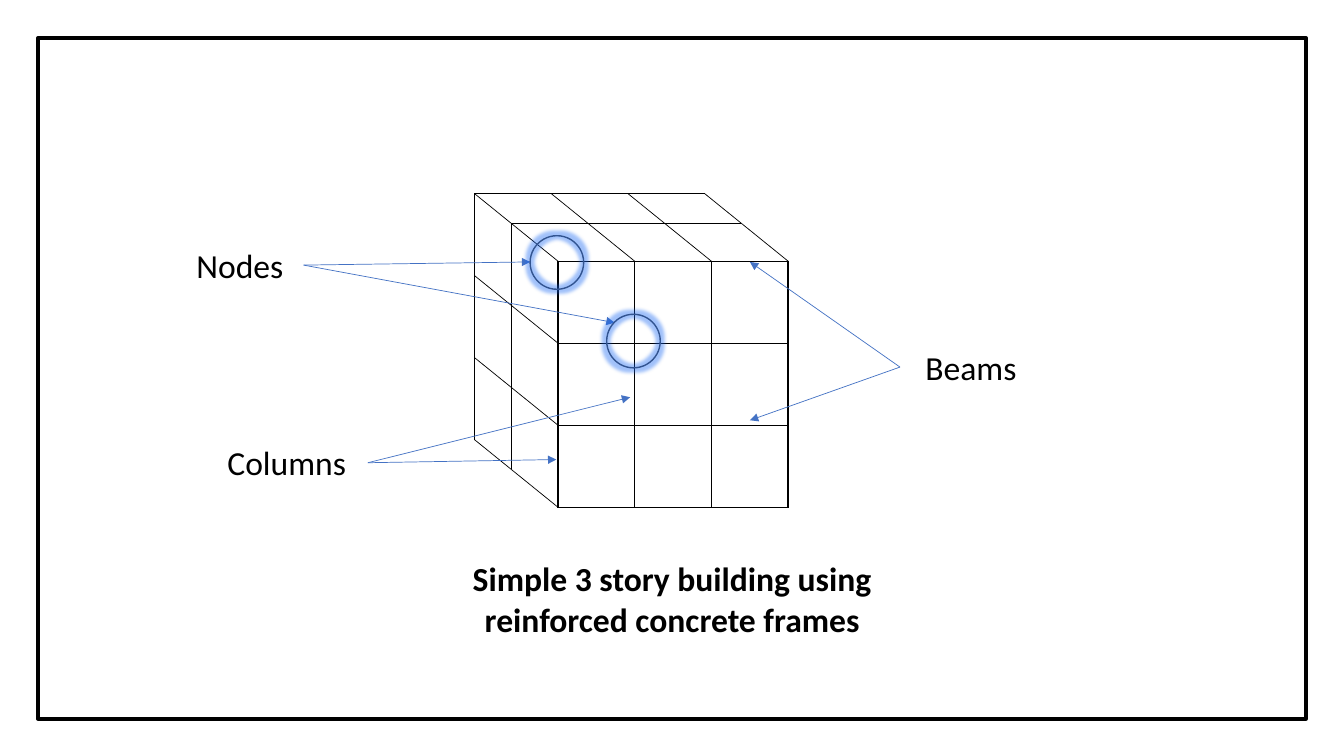
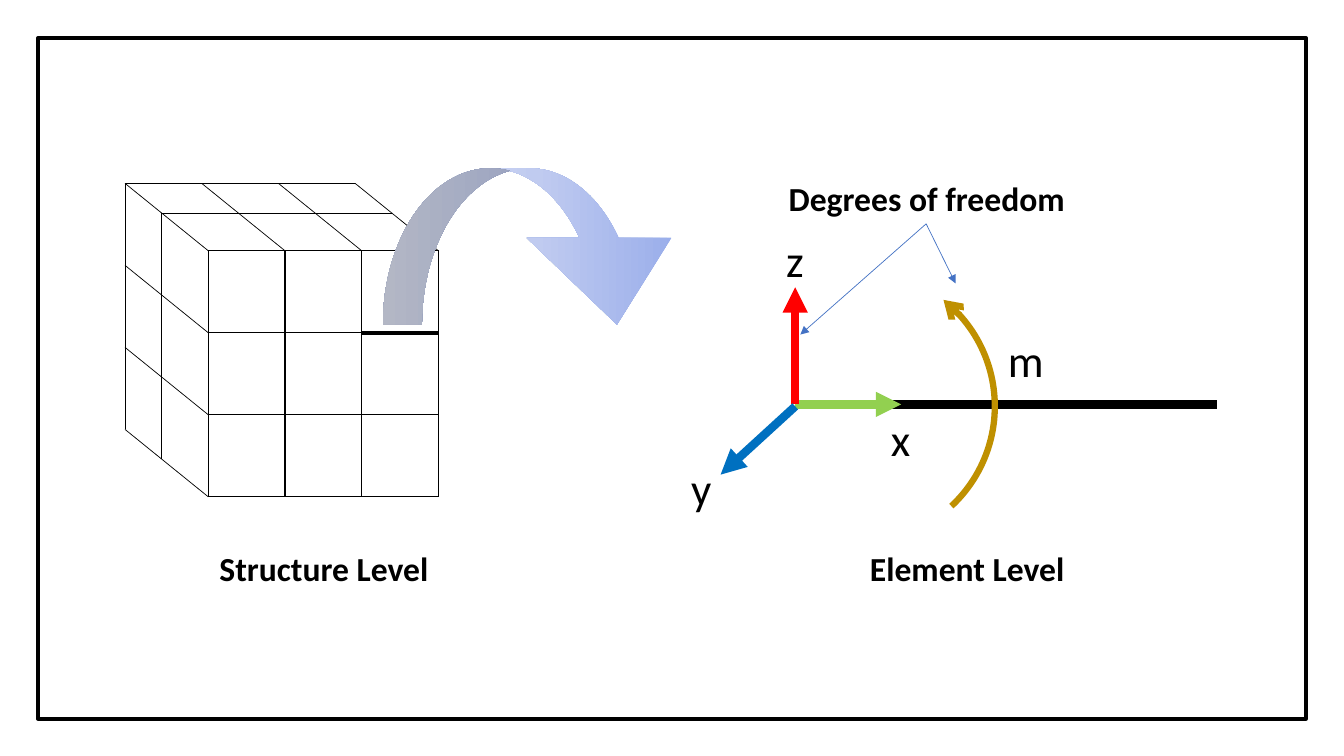
"""Builds two slides on a framed building and its element axes."""
import copy

import lxml.etree
import pptx
import pptx.dml.color
import pptx.enum.shapes
import pptx.enum.text
import pptx.oxml.ns
import pptx.util

Cm = pptx.util.Cm
Pt = pptx.util.Pt
RGB = pptx.dml.color.RGBColor
KIND = pptx.enum.shapes.MSO_SHAPE
ALIGN = pptx.enum.text.PP_ALIGN
qn = pptx.oxml.ns.qn

BLACK = RGB(0x00, 0x00, 0x00)
WHITE = RGB(0xFF, 0xFF, 0xFF)
BLUE = RGB(0x44, 0x72, 0xC4)
NAVY = RGB(0x32, 0x54, 0x91)
RED = RGB(0xFF, 0x00, 0x00)
GREEN = RGB(0x92, 0xD0, 0x50)
AZURE = RGB(0x00, 0x70, 0xC0)
GOLD = RGB(0xBF, 0x90, 0x00)
FADE = [(0, RGB(0x96, 0xAB, 0xEA)), (0.5, RGB(0xC0, 0xCB, 0xF0)), (1, RGB(0xE0, 0xE5, 0xF7))]

PLAIN = {"name": "Calibri", "size": Pt(24), "bold": False}
BOLD = {**PLAIN, "bold": True}
LARGE = {**PLAIN, "size": Pt(32)}
WRAP = {"word_wrap": True, "auto_size": pptx.enum.text.MSO_AUTO_SIZE.SHAPE_TO_FIT_TEXT}
LOOSE = {**WRAP, "word_wrap": False}
BARE = {"first_row": False, "horz_banding": False}

FRAME = (0.96, 0.96, 31.95, 17.15)
COUNT = 3
WIDE, HIGH = 5.8, 6.2
DEEP, DROP = 2.1, 1.7
MID = 0.44

FIRST = {
    "cube": (11.96, 4.88),
    "texts": [
        ("Nodes", (4.42, 6.05, 3.25, 1.27), PLAIN),
        ("Columns", (5.18, 11.02, 4.09, 1.27), PLAIN),
        ("Beams", (22.68, 8.61, 3.58, 1.27), PLAIN),
        ("Simple 3 story building using reinforced concrete frames",
         (9.83, 13.94, 14.22, 2.31), BOLD),
    ],
    "marks": [
        ((7.65, 6.68), [(13.36, 6.6), (15.49, 8.13)]),
        ((9.27, 11.66), [(14.02, 11.58), (15.88, 10.01)]),
        ((22.68, 9.25), [(18.9, 10.59), (18.9, 6.6)]),
    ],
}
NODES = [(13.36, 5.94), (15.29, 7.92)]
RING = 1.35

SECOND = {
    "cube": (3.15, 4.62),
    "texts": [
        ("Structure Level", (3.96, 13.67, 8.41, 1.27), BOLD),
        ("Element Level", (20.17, 13.67, 8.41, 1.27), BOLD),
        ("Degrees of freedom", (19.15, 4.37, 8.41, 1.27), BOLD),
        ("x", (22.2, 10.24, 1.02, 1.63), LARGE),
        ("y", (17.17, 11.48, 1.04, 1.63), LARGE),
        ("z", (19.56, 5.74, 0.97, 1.63), LARGE),
        ("m", (25.15, 8.26, 1.42, 1.63), LARGE),
    ],
    "marks": [((23.34, 5.64), [(20.17, 8.43), (24.08, 7.14)])],
}
ROOT = (20.04, 10.19)
AXES = [
    (ROOT, (30.66, 10.19), BLACK, None),
    (ROOT, (22.71, 10.19), GREEN, "triangle"),
    (ROOT, (20.04, 7.24), RED, "triangle"),
    ((20.04, 10.24), (18.16, 11.96), AZURE, "triangle"),
]
SWOOP = (9.65, 4.24, 7.72, 3.94)
SWOOP_ADJ = (0.25, 0.924, 0.554)
TURN = (18.21, 6.81, 6.86, 6.86)
TURN_ADJ = (156.85, 0)


def put(item, looks):
    for key, val in looks.items():
        setattr(item, key, val)


def lens(nums):
    return [Cm(n) for n in nums]


def add(node, tag, **attrs):
    return lxml.etree.SubElement(node, qn(tag), **attrs)


def ink(shape, tint, width):
    shape.line.color.rgb = tint
    shape.line.width = Pt(width)


def tip(shape, end, kind):
    add(shape.element.spPr.find(qn("a:ln")), end, type=kind)


def line(slide, start, stop, tint=BLACK, width=0.5, head=None):
    link = slide.shapes.add_connector(
        pptx.enum.shapes.MSO_CONNECTOR.STRAIGHT, *lens(start + stop))
    ink(link, tint, width)
    if head:
        tip(link, "a:tailEnd", head)
    add(link.element.spPr, "a:effectLst")


def form(slide, kind, box, tint=None, width=1, adj=()):
    shape = slide.shapes.add_shape(kind, *lens(box))
    shape.shadow.inherit = False
    shape.fill.background()
    if tint is None:
        shape.line.fill.background()
    else:
        ink(shape, tint, width)
    for i, val in enumerate(adj):
        shape.adjustments[i] = val
    return shape


def write(slide, text, box, font):
    frame = slide.shapes.add_textbox(*lens(box)).text_frame
    put(frame, LOOSE if font is LARGE else WRAP)
    para = frame.paragraphs[0]
    para.alignment = ALIGN.LEFT if font is LARGE else ALIGN.CENTER
    run = para.add_run()
    run.text = text
    put(run.font, font)
    run.font.color.rgb = BLACK


def rule(cell):
    props = cell._tc.get_or_add_tcPr()
    for side in "LRTB":
        edge = add(props, f"a:ln{side}", w=str(Pt(1)))
        add(add(edge, "a:solidFill"), "a:srgbClr", val=str(BLACK))
    cell.fill.solid()
    cell.fill.fore_color.rgb = WHITE


def cube(slide, left, top):
    def spot(x, y):
        return left + x, top + y

    line(slide, spot(WIDE, 0), spot(WIDE + DEEP, DROP))
    path = slide.shapes.build_freeform(*lens(spot(0, HIGH)))
    path.add_line_segments([lens(spot(0, 0)), lens(spot(WIDE, 0))], close=False)
    back = path.convert_to_shape()
    back.shadow.inherit = False
    back.fill.solid()
    back.fill.fore_color.rgb = WHITE
    ink(back, BLACK, 0.5)

    box = spot(DEEP, DROP) + (WIDE, HIGH)
    front = slide.shapes.add_table(COUNT, COUNT, *lens(box)).table
    put(front, BARE)
    for cell in front.iter_cells():
        rule(cell)

    for i in range(COUNT + 1):
        y = i * HIGH / COUNT
        line(slide, spot(0, y), spot(DEEP, y + DROP))
    for i in range(1, COUNT):
        x = i * WIDE / COUNT
        line(slide, spot(x, 0), spot(x + DEEP, DROP))
    x, y = MID * DEEP, MID * DROP
    line(slide, spot(x, y), spot(x + WIDE, y))
    line(slide, spot(x, y), spot(x, y + HIGH))


def start(deck, plan):
    slide = deck.slides.add_slide(deck.slide_layouts[6])
    cube(slide, *plan["cube"])
    for item in plan["texts"]:
        write(slide, *item)
    for root, ends in plan["marks"]:
        for end in ends:
            line(slide, root, end, BLUE, 0.5, "triangle")
    form(slide, KIND.RECTANGLE, FRAME, BLACK, 3)
    return slide


def rings(slide):
    for spot in NODES:
        ring = form(slide, KIND.OVAL, spot + (RING, RING), NAVY)
        glow = add(ring.element.spPr.find(qn("a:effectLst")), "a:glow", rad=str(Pt(5)))
        tone = add(glow, "a:srgbClr", val=str(BLUE))
        add(tone, "a:satMod", val="175000")
        add(tone, "a:alpha", val="40000")


def swoop(slide):
    arrow = form(slide, KIND.CURVED_DOWN_ARROW, SWOOP, adj=SWOOP_ADJ)
    arrow.fill.gradient()
    arrow.fill.gradient_angle = 180
    stops = arrow.element.spPr.find(".//" + qn("a:gsLst"))
    stops.append(copy.deepcopy(stops[0]))
    for stop, (place, tint) in zip(arrow.fill.gradient_stops, FADE):
        stop.position = place
        stop.color.rgb = tint


def axes(slide):
    left, top = SECOND["cube"]
    y = top + DROP + HIGH / COUNT
    right = left + DEEP + WIDE
    line(slide, (right - WIDE / COUNT, y), (right, y), BLACK, 3)
    swoop(slide)
    for begin, end, tint, head in AXES:
        line(slide, begin, end, tint, 6, head)
    turn = form(slide, KIND.ARC, TURN, GOLD, 4.5, TURN_ADJ)
    turn.rotation = 47.1
    tip(turn, "a:headEnd", "arrow")


def main():
    deck = pptx.Presentation()
    put(deck, {"slide_width": Cm(33.87), "slide_height": Cm(19.05)})
    rings(start(deck, FIRST))
    axes(start(deck, SECOND))
    deck.save("out.pptx")


if __name__ == "__main__":
    main()
